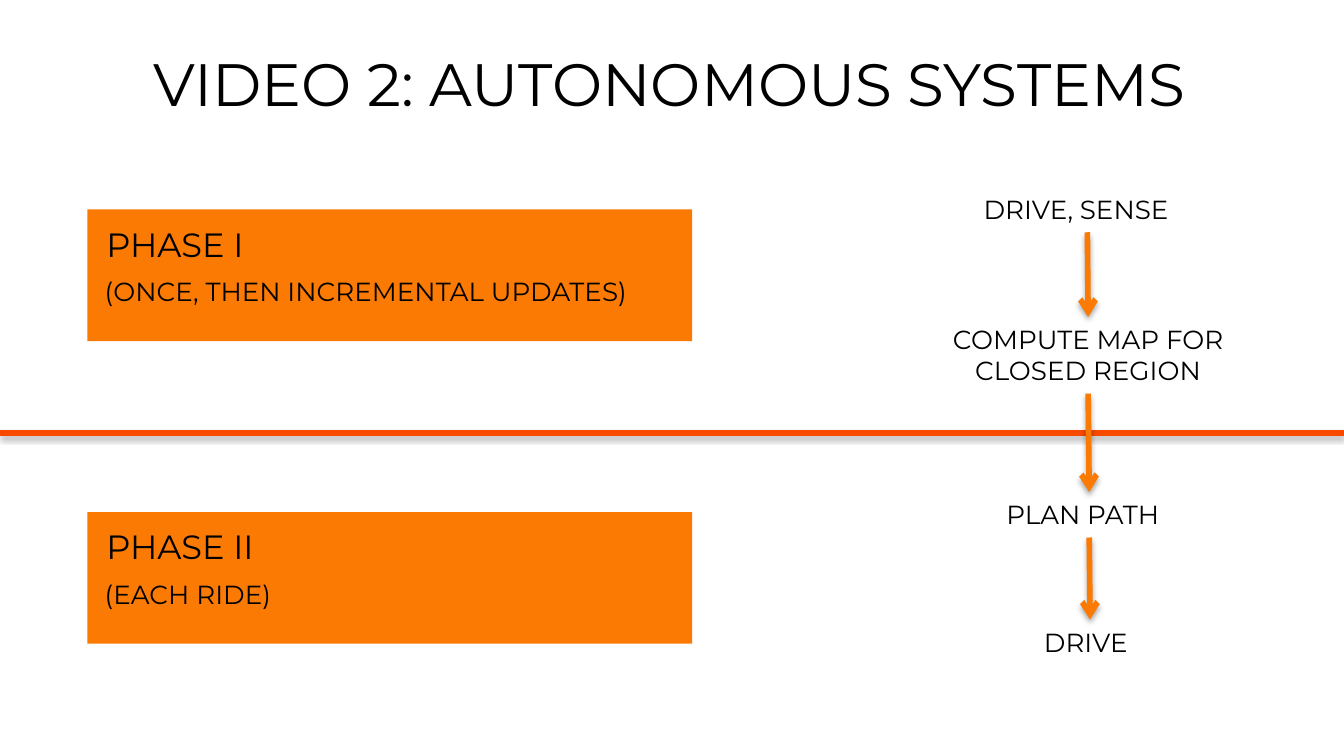
from itertools import pairwise

from lxml.etree import SubElement
from pptx import Presentation
from pptx.dml.color import RGBColor
from pptx.enum.shapes import MSO_CONNECTOR, MSO_SHAPE
from pptx.enum.text import MSO_ANCHOR, MSO_AUTO_SIZE, PP_ALIGN
from pptx.oxml import parse_xml
from pptx.oxml.ns import nsdecls, qn
from pptx.util import Cm, Pt

COLORS = {"text": "000000", "orange": "FA7A04", "divider": "F84901"}
FONT = "Montserrat"
SHADOW = (
    f'<a:effectLst {nsdecls("a")}>'
    '<a:outerShdw blurRad="39400" dist="23000" dir="5400000" rotWithShape="0">'
    '<a:srgbClr val="000000"><a:alpha val="35000"/></a:srgbClr>'
    "</a:outerShdw></a:effectLst>"
)

prs = Presentation()
prs.slide_width, prs.slide_height = Cm(25.4), Cm(14.29)
s = prs.slides.add_slide(prs.slide_layouts[6])


def add_text(text, left, top, width, height, size, align=PP_ALIGN.LEFT, fitted=False):
    """Add a text box; a fitted one keeps its margins, does not wrap and grows."""
    tf = s.shapes.add_textbox(Cm(left), Cm(top), Cm(width), Cm(height)).text_frame
    tf.vertical_anchor = MSO_ANCHOR.TOP
    tf.word_wrap = not fitted
    if fitted:
        tf.auto_size = MSO_AUTO_SIZE.SHAPE_TO_FIT_TEXT
    else:
        tf.margin_left = tf.margin_right = tf.margin_top = tf.margin_bottom = 0
    tf.text = text
    for p in tf.paragraphs:
        p.alignment = align
        for r in p.runs:
            r.font.name = FONT
            r.font.size = Pt(size)
            r.font.color.rgb = RGBColor.from_string(COLORS["text"])
    return tf


def add_line(x1, y1, x2, y2, color, arrow=False):
    """Add a shadowed line, with an arrowhead at its end if asked."""
    line = s.shapes.add_connector(
        MSO_CONNECTOR.STRAIGHT, Cm(x1), Cm(y1), Cm(x2), Cm(y2))
    line.line.color.rgb = RGBColor.from_string(COLORS[color])
    line.line.width = Pt(3)
    sp_pr = line._element.spPr
    if arrow:
        SubElement(sp_pr.find(qn("a:ln")), qn("a:tailEnd"), type="arrow")
    sp_pr.append(parse_xml(SHADOW))


# Title
title = add_text("VIDEO 2: AUTONOMOUS SYSTEMS", 1.6, 1.14, 22.12, 1.3, 32, PP_ALIGN.CENTER)
title.paragraphs[0].line_spacing = 0.8

# Phase panels: top, heading, note, note width
phases = [
    (3.96, "PHASE I", "(ONCE, THEN INCREMENTAL UPDATES)", 11.3),
    (9.68, "PHASE II", "(EACH RIDE)", 3.94),
]
for top, heading, note, note_width in phases:
    panel = s.shapes.add_shape(MSO_SHAPE.RECTANGLE, Cm(1.65), Cm(top), Cm(11.43), Cm(2.49))
    panel.shadow.inherit = False
    panel.fill.solid()
    panel.fill.fore_color.rgb = RGBColor.from_string(COLORS["orange"])
    panel.line.fill.background()
    add_text(heading, 2.01, top + 0.27, 4.85, 0.97, 18)
    add_text(note, 1.73, top + 1.13, note_width, 0.86, 14, fitted=True)

# Steps: text, left, top, width, height, alignment
steps = [
    ("DRIVE, SENSE", 18.34, 3.53, 4.42, 0.86, PP_ALIGN.LEFT),
    ("COMPUTE MAP FOR\nCLOSED REGION", 17.58, 5.99, 5.97, 1.45, PP_ALIGN.CENTER),
    ("PLAN PATH", 18.77, 9.3, 3.63, 0.86, PP_ALIGN.LEFT),
    ("DRIVE", 19.48, 11.71, 2.24, 0.86, PP_ALIGN.LEFT),
]
for text, left, top, width, height, align in steps:
    add_text(text, left, top, width, height, 14, align, fitted=True)

# Divider between the phases, then an arrow from each step down to the next
add_line(0, 8.18, 25.4, 8.18, "divider")
for (_, x1, y1, w1, h1, _), (_, x2, y2, w2, _, _) in pairwise(steps):
    add_line(x1 + w1 / 2, y1 + h1, x2 + w2 / 2, y2, "orange", arrow=True)

prs.save("out.pptx")
